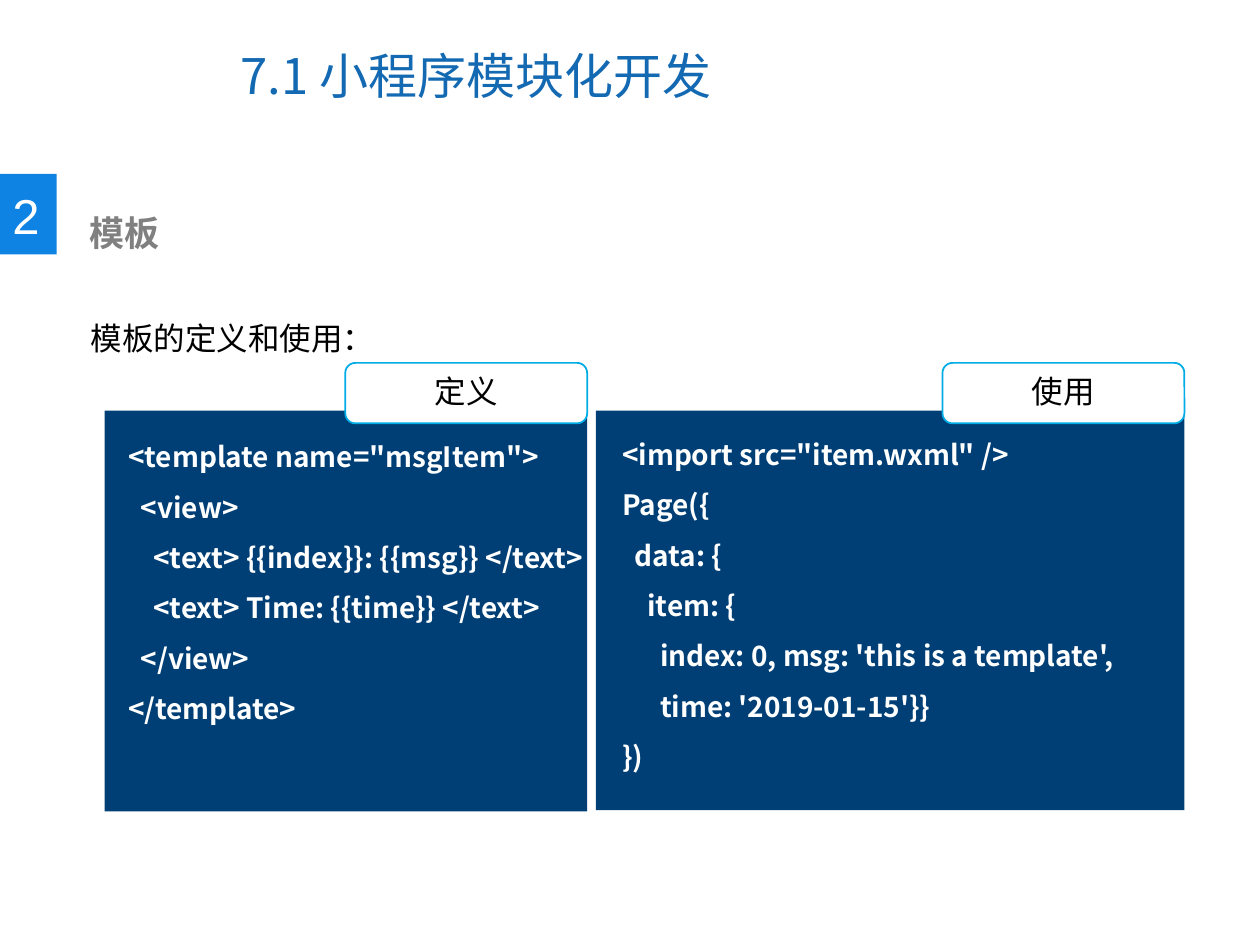
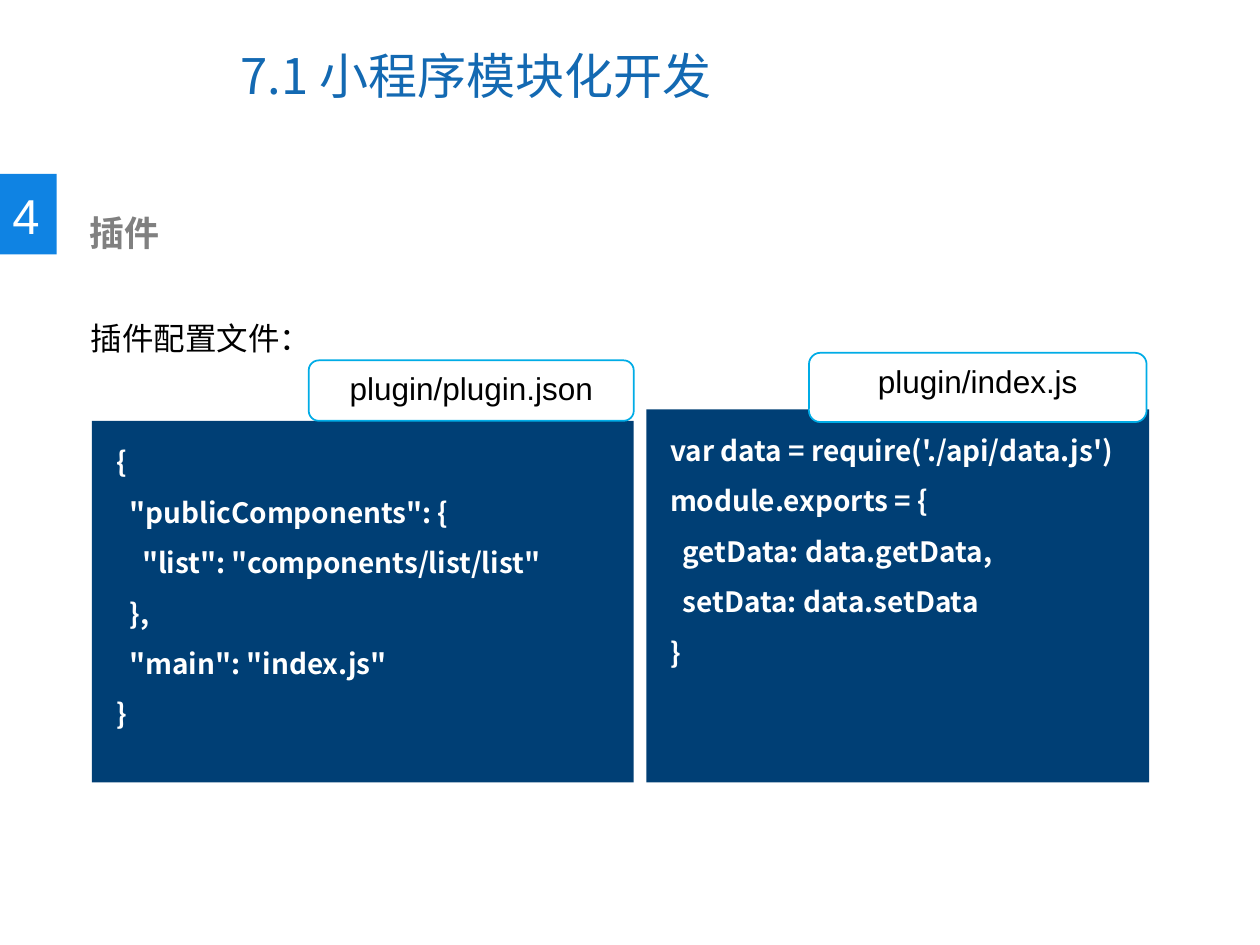
from pptx import Presentation
from pptx.dml.color import RGBColor
from pptx.enum.shapes import MSO_SHAPE
from pptx.enum.text import MSO_ANCHOR, MSO_AUTO_SIZE, PP_ALIGN
from pptx.util import Inches, Pt

RECT, ROUND = MSO_SHAPE.RECTANGLE, MSO_SHAPE.ROUNDED_RECTANGLE
TOP, MIDDLE = MSO_ANCHOR.TOP, MSO_ANCHOR.MIDDLE
LEFT, CENTER = PP_ALIGN.LEFT, PP_ALIGN.CENTER
FIXED = MSO_AUTO_SIZE.NONE

SANS, CODE = "Arial", "Noto Sans CJK SC"
WHITE, BLACK, GREY = "FFFFFF", "000000", "808080"
BLUE, BADGE, NAVY, CYAN = "1369B2", "0F83E3", "003F75", "00ACE6"
STEP = 0.1  # code indent per level, in inches


def color(value):
    return RGBColor.from_string(value)


class Deck:
    def __init__(self):
        self.prs = Presentation()
        self.prs.slide_width = Inches(10)
        self.prs.slide_height = Inches(7.5)
        self.slide = None

    def style(self, para, size, tint, name=None, bold=False, align=LEFT):
        para.alignment = align
        font = para.font
        font.size, font.bold = Pt(size), bold
        font.color.rgb = color(tint)
        if name:
            font.name = name

    def shape(self, kind, box, fill, line=None):
        item = self.slide.shapes.add_shape(kind, *map(Inches, box))
        item.shadow.inherit = False
        item.fill.solid()
        item.fill.fore_color.rgb = color(fill)
        if line:
            item.line.color.rgb = color(line)
            item.line.width = Pt(1)
        else:
            item.line.fill.background()
        return item

    def text(self, box, lines, size, tint, name=SANS, bold=False, space=1.0):
        """Write lines given as (indent level, words) pairs."""
        frame = self.slide.shapes.add_textbox(*map(Inches, box)).text_frame
        frame.word_wrap = True
        for i, (level, words) in enumerate(lines):
            para = frame.add_paragraph() if i else frame.paragraphs[0]
            para.text = words
            para.line_spacing = space
            self.style(para, size, tint, name, bold)
            if level:
                props = para._p.get_or_add_pPr()
                props.set("marL", str(Inches(level * STEP)))
                props.set("indent", "0")

    def title(self):
        item = self.slide.shapes.title
        item.left, item.top = Inches(1.81), Inches(0.17)
        item.width, item.height = Inches(5.16), Inches(0.85)
        frame = item.text_frame
        frame.auto_size, frame.vertical_anchor = FIXED, MIDDLE
        para = frame.paragraphs[0]
        self.style(para, 28, BLUE)
        for words, name in (("7.1 ", CODE), ("小程序模块化开发", SANS)):
            run = para.add_run()
            run.text, run.font.name = words, name

    def page(self, number, topic, lead):
        self.slide = self.prs.slides.add_slide(self.prs.slide_layouts[5])
        self.title()
        # Numbered section heading
        self.shape(RECT, (0, 1.38, 0.45, 0.64), BADGE)
        self.text((0, 1.42, 0.45, 0.57), [(0, number)], 28, WHITE)
        self.text((0.61, 1.63, 5, 0.44), [(0, topic)], 20, GREY, bold=True)
        # Lead line
        self.text((0.62, 2.18, 8.65, 0.71), [(0, lead)], 18, BLACK, space=2.0)

    def panel(self, box, inner, lines):
        self.shape(RECT, box, NAVY)
        self.text(inner, lines, 16, WHITE, CODE, True, 1.5)

    def tab(self, box, label):
        item = self.shape(ROUND, box, WHITE, CYAN)
        frame = item.text_frame
        frame.vertical_anchor = TOP
        para = frame.paragraphs[0]
        para.text = label
        self.style(para, 18, BLACK, SANS, align=CENTER)


def main():
    deck = Deck()

    # Templates: definition and use
    deck.page("2", "模板", "模板的定义和使用：")
    deck.panel((0.83, 3.26, 3.83, 3.18), (0.92, 3.31, 3.85, 2.93), [
        (0, '<template name="msgItem">'),
        (1, "<view>"),
        (2, "<text> {{index}}: {{msg}} </text>"),
        (2, "<text> Time: {{time}} </text>"),
        (1, "</view>"),
        (0, "</template>"),
    ])
    deck.panel((4.73, 3.26, 4.67, 3.17), (4.84, 3.29, 4.7, 3.33), [
        (0, '<import src="item.wxml" />'),
        (0, "Page({"),
        (1, "data: {"),
        (2, "item: {"),
        (3, "index: 0, msg: 'this is a template',"),
        (3, "time: '2019-01-15'}}"),
        (0, "})"),
    ])
    for left, label in ((2.74, "定义"), (7.48, "使用")):
        deck.tab((left, 2.88, 1.92, 0.48), label)

    # Plugins: configuration files
    deck.page("4", "插件", "插件配置文件：")
    deck.panel((0.73, 3.34, 4.3, 2.87), (0.83, 3.35, 4.33, 2.8), [
        (0, "{"),
        (1, '"publicComponents": {'),
        (2, '"list": "components/list/list"'),
        (1, "},"),
        (1, '"main": "index.js"'),
        (0, "}"),
    ])
    deck.tab((2.45, 2.86, 2.58, 0.48), "plugin/plugin.json")
    deck.panel((5.13, 3.25, 3.99, 2.96), (5.22, 3.26, 4.01, 2.14), [
        (0, "var data = require('./api/data.js')"),
        (0, "module.exports = {"),
        (1, "getData: data.getData,"),
        (1, "setData: data.setData"),
        (0, "}"),
    ])
    deck.tab((6.42, 2.8, 2.68, 0.55), "plugin/index.js")

    deck.prs.save("out.pptx")


if __name__ == "__main__":
    main()
